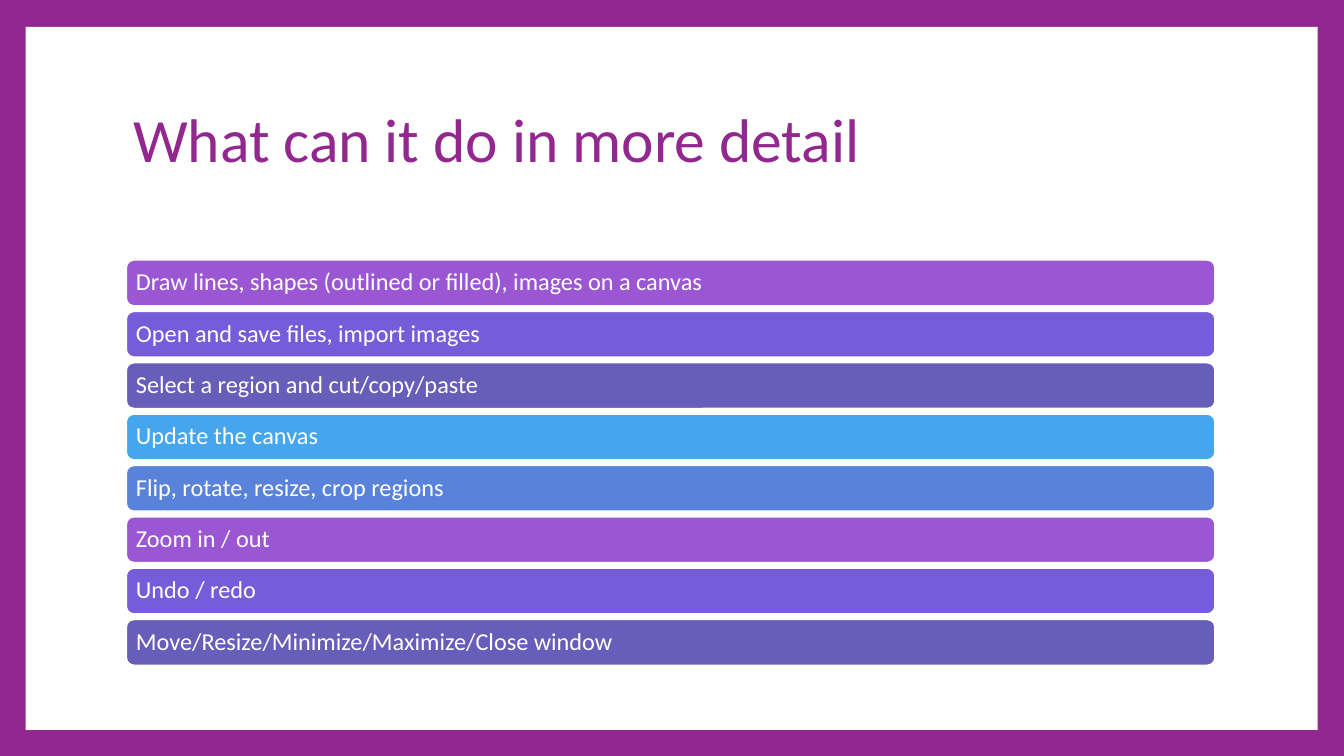
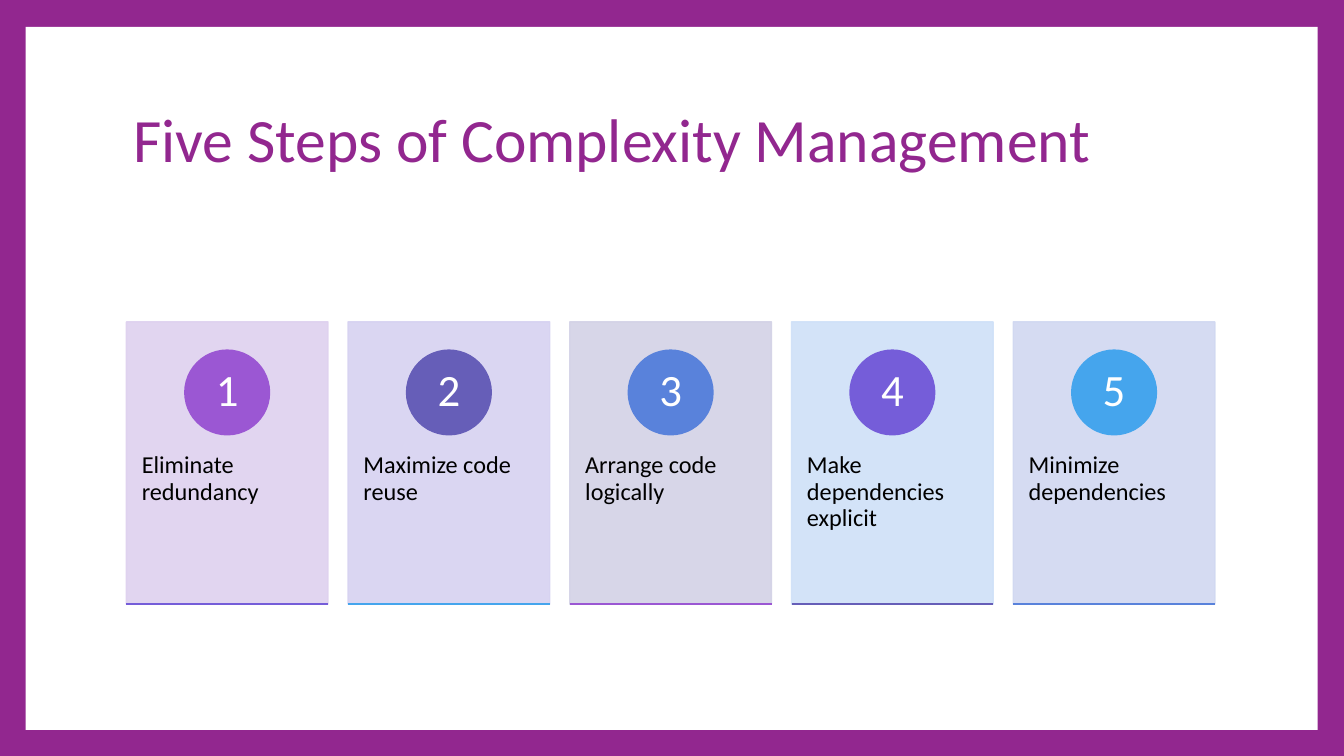
from dataclasses import dataclass

from lxml import etree
from pptx import Presentation, util as u
from pptx.dml.color import RGBColor
from pptx.enum import shapes, text
from pptx.oxml.ns import qn

FONT = "Calibri"
FRAME = RGBColor(0x92, 0x27, 0x8F)
WHITE = RGBColor(0xFF, 0xFF, 0xFF)
BLACK = RGBColor(0x00, 0x00, 0x00)
ORCHID = RGBColor(0x9B, 0x57, 0xD3)
VIOLET = RGBColor(0x75, 0x5D, 0xD9)
INDIGO = RGBColor(0x66, 0x5E, 0xB8)
SKY = RGBColor(0x45, 0xA5, 0xED)
BLUE = RGBColor(0x59, 0x82, 0xDB)
PALE_ORCHID = RGBColor(0xDE, 0xD1, 0xEF)
PALE_VIOLET = RGBColor(0xD6, 0xD2, 0xF1)
PALE_INDIGO = RGBColor(0xD3, 0xD2, 0xE6)
PALE_SKY = RGBColor(0xCF, 0xE1, 0xF8)
PALE_BLUE = RGBColor(0xD1, 0xD8, 0xF1)

EDGE = u.Pt(1.5)
CARD_OPACITY = 90

FEATURE_COLOURS = [ORCHID, VIOLET, INDIGO, SKY, BLUE]
FEATURES = [
    "Draw lines, shapes (outlined or filled), images on a canvas",
    "Open and save files, import images",
    "Select a region and cut/copy/paste",
    "Update the canvas",
    "Flip, rotate, resize, crop regions",
    "Zoom in / out",
    "Undo / redo",
    "Move/Resize/Minimize/Maximize/Close window",
]
# Step wording, card, badge and base line colours
STEPS = [
    ("Eliminate redundancy", PALE_ORCHID, ORCHID, VIOLET),
    ("Maximize code reuse", PALE_VIOLET, INDIGO, SKY),
    ("Arrange code logically", PALE_INDIGO, BLUE, ORCHID),
    ("Make dependencies explicit", PALE_SKY, VIOLET, INDIGO),
    ("Minimize dependencies", PALE_BLUE, SKY, BLUE),
]


@dataclass
class Box:
    left: int
    top: int
    width: int
    height: int

    def inner(self, x, y, width, height):
        """Inner box, given in percent of this one."""
        return Box(round(self.left + self.width * x / 100),
                   round(self.top + self.height * y / 100),
                   round(self.width * width / 100),
                   round(self.height * height / 100))

    def rows(self, count, gap):
        size = (100 - gap * (count - 1)) / count
        return [self.inner(0, i * (size + gap), 100, size) for i in range(count)]

    def columns(self, count, gap):
        size = (100 - gap * (count - 1)) / count
        return [self.inner(i * (size + gap), 0, size, 100) for i in range(count)]

    def bounds(self):
        return self.left, self.top, self.width, self.height


PAGE = Box(0, 0, u.Inches(20), u.Inches(11.25))
PANEL = PAGE.inner(1.9, 3.56, 96.15, 92.98)
TITLE = PAGE.inner(9.4, 8.89, 81, 19.82)
FEATURE_LIST = PAGE.inner(9.4, 34.4, 81, 53.6)
STEP_CARDS = PAGE.inner(9.4, 42.58, 81, 37.33)


def add_block(slide, kind, box, fill, line=None):
    block = slide.shapes.add_shape(kind, *box.bounds())
    block.shadow.inherit = False
    block.fill.solid()
    block.fill.fore_color.rgb = fill
    if line is None:
        block.line.fill.background()
    else:
        block.line.color.rgb = line
        block.line.width = EDGE
    return block


def write(shape, wording, size, colour, anchor=text.MSO_ANCHOR.MIDDLE,
          align=text.PP_ALIGN.LEFT, insets=(0.1, 0.05, 0.1, 0.05)):
    frame = shape.text_frame
    frame.word_wrap = True
    frame.auto_size = text.MSO_AUTO_SIZE.NONE
    frame.vertical_anchor = anchor
    (frame.margin_left, frame.margin_top,
     frame.margin_right, frame.margin_bottom) = map(u.Inches, insets)
    frame.text = wording
    paragraph = frame.paragraphs[0]
    paragraph.alignment = align
    paragraph.line_spacing = 0.9
    paragraph.font.name = FONT
    paragraph.font.size = u.Pt(size)
    paragraph.font.color.rgb = colour


def set_opacity(shape, percent):
    for colour in shape._element.spPr.iter(qn("a:srgbClr")):
        etree.SubElement(colour, qn("a:alpha"), val=str(percent * 1000))


def style_master(master, slide):
    """Coloured frame with a white panel behind every slide."""
    master.background.fill.solid()
    master.background.fill.fore_color.rgb = FRAME
    panel = add_block(slide, shapes.MSO_SHAPE.RECTANGLE, PANEL, WHITE)
    master.placeholders[0]._element.addprevious(panel._element)


def add_title(slide, wording):
    title = slide.shapes.title
    title.left, title.top, title.width, title.height = TITLE.bounds()
    write(title, wording, 66, FRAME)


def add_feature_list(slide, box):
    for i, (feature, row) in enumerate(zip(FEATURES, box.rows(len(FEATURES), 1.39))):
        colour = FEATURE_COLOURS[i % len(FEATURE_COLOURS)]
        bar = add_block(slide, shapes.MSO_SHAPE.ROUNDED_RECTANGLE, row, colour, WHITE)
        write(bar, feature, 26, WHITE, insets=(0.11, 0.11, 0.11, 0.11))


def add_step_card(slide, box, number, step, card_colour, badge_colour, base_colour):
    # Card with its wording below the badge
    card = add_block(slide, shapes.MSO_SHAPE.RECTANGLE, box, card_colour, card_colour)
    set_opacity(card, CARD_OPACITY)
    write(card, step, 26, BLACK, text.MSO_ANCHOR.TOP, insets=(0.23, 1.95, 0.23, 0.36))

    # Numbered badge
    badge = add_block(slide, shapes.MSO_SHAPE.OVAL, box.inner(29, 10, 42, 30),
                      badge_colour, badge_colour)
    write(badge, str(number), 48, WHITE, align=text.PP_ALIGN.CENTER,
          insets=(0.1, 0.01, 0.1, 0.01))

    # Base line
    bottom = box.top + box.height
    base = slide.shapes.add_connector(shapes.MSO_CONNECTOR.STRAIGHT, box.left, bottom,
                                      box.left + box.width, bottom)
    base.line.color.rgb = base_colour
    base.line.width = EDGE
    etree.SubElement(base._element.spPr, qn("a:effectLst"))


def add_step_cards(slide, box):
    columns = box.columns(len(STEPS), 1.84)
    for number, (column, step) in enumerate(zip(columns, STEPS), 1):
        add_step_card(slide, column, number, *step)


def main():
    deck = Presentation()
    deck.slide_width, deck.slide_height = PAGE.width, PAGE.height
    title_only = deck.slide_layouts.get_by_name("Title Only")

    features = deck.slides.add_slide(title_only)
    style_master(deck.slide_master, features)
    add_title(features, "What can it do in more detail")
    add_feature_list(features, FEATURE_LIST)

    steps = deck.slides.add_slide(title_only)
    add_title(steps, "Five Steps of Complexity Management")
    add_step_cards(steps, STEP_CARDS)

    deck.save("out.pptx")


if __name__ == "__main__":
    main()
